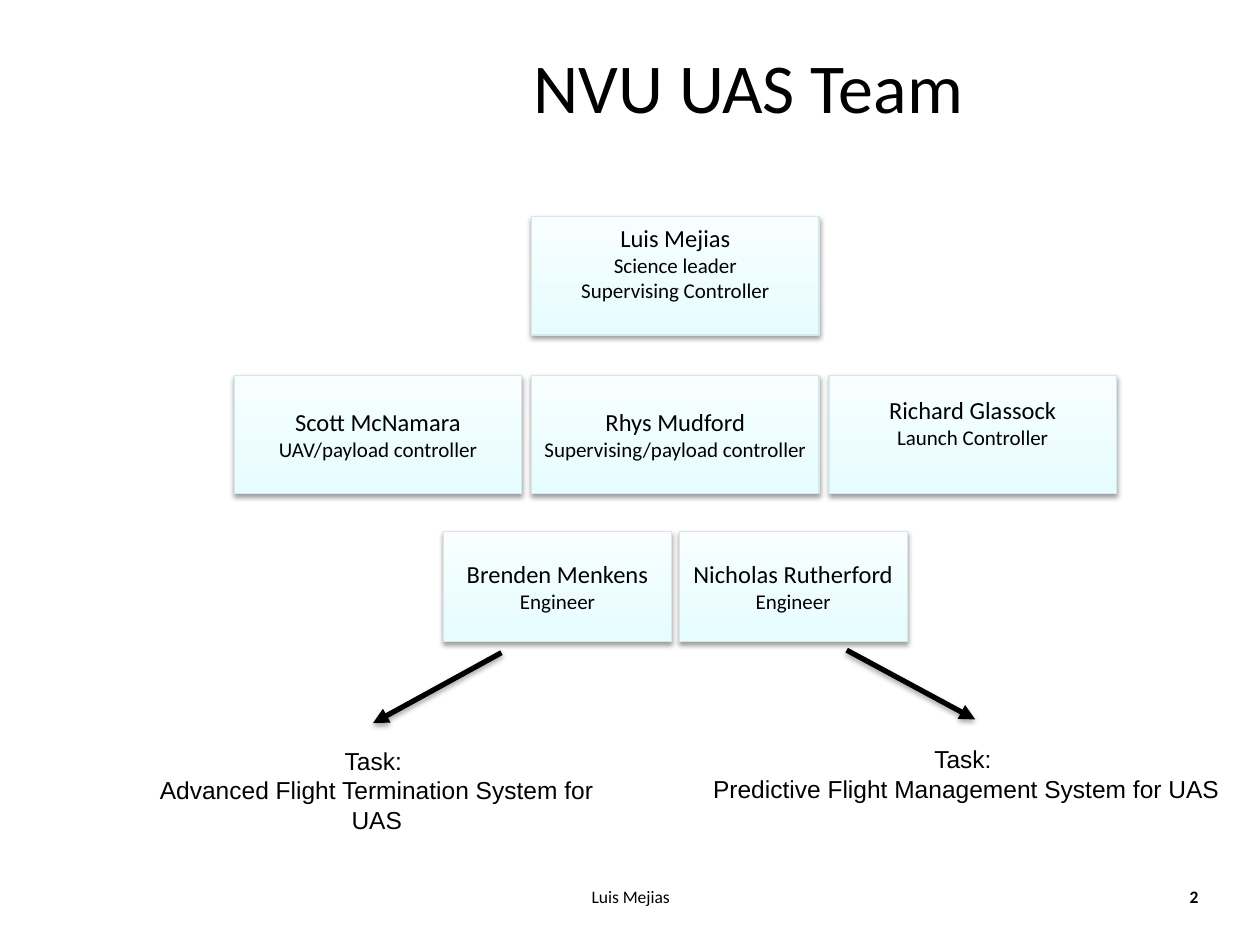
from dataclasses import dataclass

import pptx
import pptx.dml.color
import pptx.enum.dml
import pptx.enum.shapes
import pptx.enum.text
import pptx.oxml
import pptx.oxml.ns
import pptx.util
from pptx.util import Inches

COLOURS = {
    "text": "000000",
    "card_bottom": "E6FDFF",
    "card_top": "F8FEFF",
    "card_edge": "D5E8EA",
    "shadow": "000000",
    "arrow": "000000",
}
ALIGN = pptx.enum.text.PP_ALIGN
ANCHOR = pptx.enum.text.MSO_ANCHOR


@dataclass
class Line:
    text: str
    size: float
    font: str = "Calibri"
    bold: bool = False


@dataclass
class Label:
    left: float
    top: float
    width: float
    height: float
    lines: list[Line]
    align: ALIGN = ALIGN.CENTER
    anchor: ANCHOR = ANCHOR.TOP
    wrap: bool = True


@dataclass
class Member:
    name: str
    roles: list[str]
    bottom_inset: float = 0.05


@dataclass
class Row:
    left: float
    top: float
    width: float
    height: float
    gap: float
    members: list[Member]


@dataclass
class Arrow:
    start: tuple[float, float]
    end: tuple[float, float]


def colour(name: str) -> pptx.dml.color.RGBColor:
    return pptx.dml.color.RGBColor.from_string(COLOURS[name])


def write_lines(frame, lines: list[Line], align: ALIGN) -> None:
    for index, line in enumerate(lines):
        para = frame.add_paragraph() if index else frame.paragraphs[0]
        para.alignment = align
        span = para.add_run()
        span.text = line.text
        formats = {"name": line.font, "size": pptx.util.Pt(line.size), "bold": line.bold}
        for key, value in formats.items():
            setattr(span.font, key, value)
        span.font.color.rgb = colour("text")


def set_shadow(properties, distance: float, opacity: int) -> None:
    """Put a soft downward shadow in the shape properties, after the line."""
    for old in properties.findall(pptx.oxml.ns.qn("a:effectLst")):
        properties.remove(old)
    properties.append(pptx.oxml.parse_xml(
        f'<a:effectLst {pptx.oxml.ns.nsdecls("a")}>'
        f'<a:outerShdw blurRad="{pptx.util.Pt(3.1)}" dist="{pptx.util.Pt(distance)}"'
        ' dir="5400000" rotWithShape="0">'
        f'<a:srgbClr val="{COLOURS["shadow"]}"><a:alpha val="{opacity * 1000}"/></a:srgbClr>'
        "</a:outerShdw></a:effectLst>"
    ))


def draw_label(slide, label: Label) -> None:
    box = slide.shapes.add_textbox(
        Inches(label.left), Inches(label.top), Inches(label.width), Inches(label.height))
    box.text_frame.word_wrap = label.wrap
    box.text_frame.vertical_anchor = label.anchor
    write_lines(box.text_frame, label.lines, label.align)


def draw_card(slide, row: Row, column: int, member: Member) -> None:
    left = row.left + column * (row.width + row.gap)
    card = slide.shapes.add_shape(
        pptx.enum.shapes.MSO_SHAPE.RECTANGLE,
        Inches(left), Inches(row.top), Inches(row.width), Inches(row.height))
    card.fill.gradient()
    card.fill.gradient_angle = 90
    for stop, name in zip(card.fill.gradient_stops, ("card_bottom", "card_top")):
        stop.color.rgb = colour(name)
    card.line.color.rgb = colour("card_edge")
    card.line.width = pptx.util.Pt(0.75)
    card.shadow.inherit = False
    set_shadow(card._element.spPr, 1.6, 38)

    frame = card.text_frame
    formats = {
        "word_wrap": False,
        "vertical_anchor": ANCHOR.MIDDLE,
        "margin_bottom": Inches(member.bottom_inset),
    }
    for key, value in formats.items():
        setattr(frame, key, value)
    lines = [Line(member.name, 14)] + [Line(role, 12) for role in member.roles]
    write_lines(frame, lines, ALIGN.CENTER)


def draw_arrow(slide, arrow: Arrow) -> None:
    connector = slide.shapes.add_connector(
        pptx.enum.shapes.MSO_CONNECTOR.STRAIGHT,
        *(Inches(value) for value in arrow.start + arrow.end))
    connector.line.color.rgb = colour("arrow")
    connector.line.width = pptx.util.Pt(3)
    connector.line._get_or_add_ln().append(pptx.oxml.parse_xml(
        f'<a:tailEnd {pptx.oxml.ns.nsdecls("a")} type="triangle"/>'))
    set_shadow(connector._element.spPr, 1.8, 35)


def task(text: str) -> list[Line]:
    return [Line("Task: ", 14, "Arial"), Line(text, 14, "Arial")]


LABELS = [
    Label(2.24, 0.05, 7.4, 1.25, [Line("NVU UAS Team", 40)], anchor=ANCHOR.MIDDLE),
    Label(3.42, 6.98, 3.17, 0.37, [Line("Luis Mejias", 10)]),
    Label(7.28, 6.98, 2.33, 0.37, [Line("2", 10, bold=True)], align=ALIGN.RIGHT),
    Label(0.95, 5.87, 4.08, 0.57, task("Advanced Flight Termination System for UAS")),
    Label(5.55, 5.86, 4.24, 0.57, task("Predictive Flight Management System for UAS"),
          wrap=False),
]
ROWS = [
    Row(4.22, 1.72, 2.28, 0.94, 0.08, [
        Member("Luis Mejias", ["Science leader", "Supervising Controller"], 0.25),
    ]),
    Row(1.86, 2.98, 2.28, 0.94, 0.08, [
        Member("Scott McNamara", ["UAV/payload controller"]),
        Member("Rhys Mudford", ["Supervising/payload controller"]),
        Member("Richard Glassock", ["Launch Controller"], 0.25),
    ]),
    Row(3.52, 4.22, 1.81, 0.87, 0.06, [
        Member("Brenden Menkens", ["Engineer"]),
        Member("Nicholas Rutherford", ["Engineer"]),
    ]),
]
ARROWS = [
    Arrow((3.98, 5.18), (2.96, 5.74)),
    Arrow((6.72, 5.16), (7.74, 5.71)),
]


def main() -> None:
    deck = pptx.Presentation()
    deck.slide_width, deck.slide_height = Inches(10), Inches(7.5)
    slide = deck.slides.add_slide(deck.slide_layouts[6])
    for row in ROWS:
        for column, member in enumerate(row.members):
            draw_card(slide, row, column, member)
    for label in LABELS:
        draw_label(slide, label)
    for arrow in ARROWS:
        draw_arrow(slide, arrow)
    deck.save("out.pptx")


if __name__ == "__main__":
    main()
